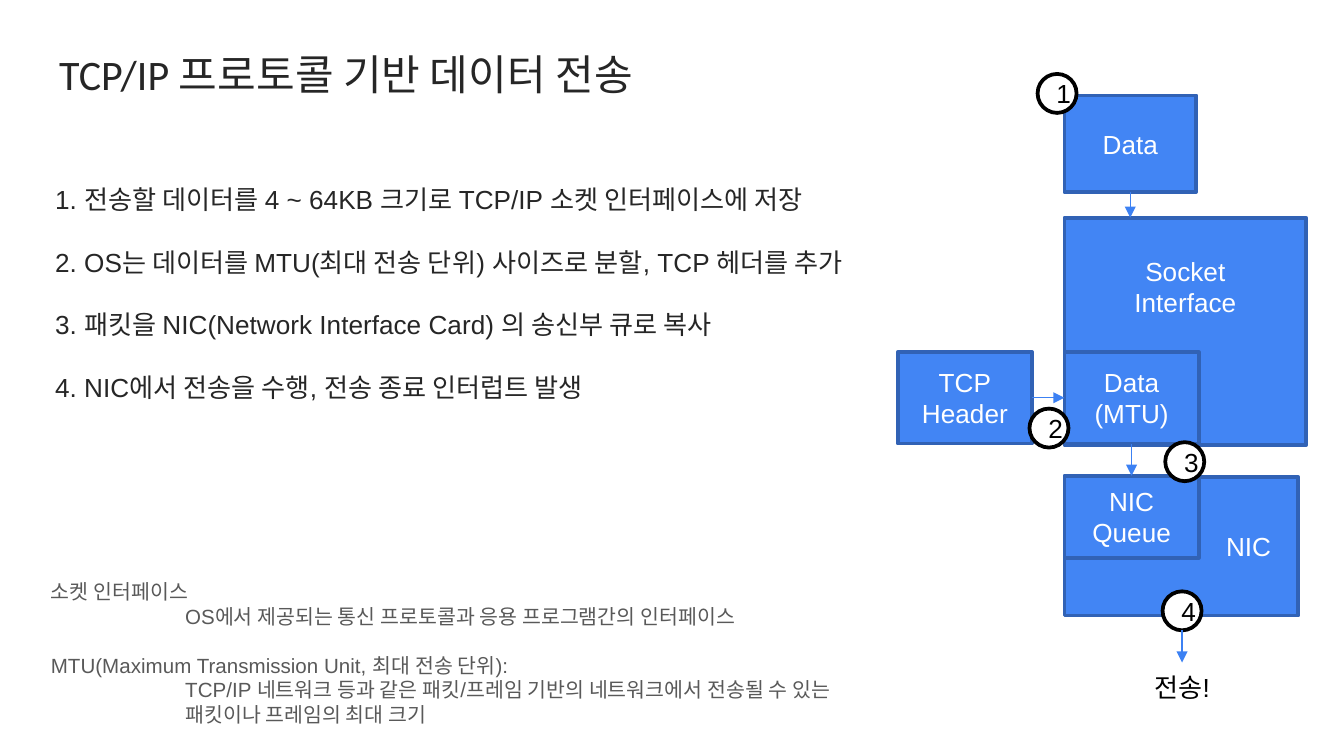
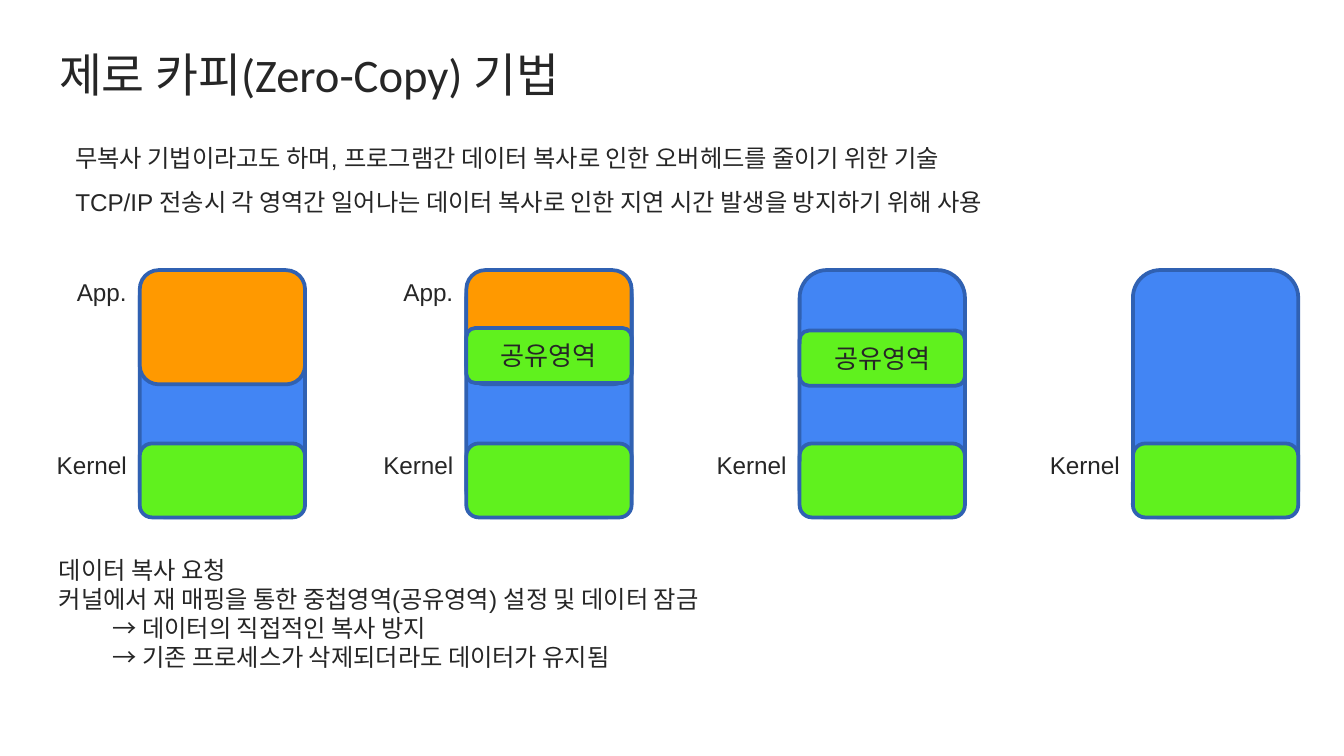
from typing import NamedTuple

from lxml import etree
from pptx import Presentation
from pptx.dml.color import RGBColor
from pptx.enum.shapes import MSO_CONNECTOR, MSO_SHAPE
from pptx.enum.text import MSO_ANCHOR, MSO_AUTO_SIZE, PP_ALIGN
from pptx.oxml.ns import qn
from pptx.util import Inches, Pt

RECT, ROUNDED = MSO_SHAPE.RECTANGLE, MSO_SHAPE.ROUNDED_RECTANGLE
CIRCLE, STRAIGHT = MSO_SHAPE.FLOWCHART_CONNECTOR, MSO_CONNECTOR.STRAIGHT
TOP, MIDDLE = MSO_ANCHOR.TOP, MSO_ANCHOR.MIDDLE
LEFT, CENTER, RIGHT = PP_ALIGN.LEFT, PP_ALIGN.CENTER, PP_ALIGN.RIGHT
FIXED, GROW = MSO_AUTO_SIZE.NONE, MSO_AUTO_SIZE.SHAPE_TO_FIT_TEXT

COLORS = {
    "ink": "262626", "note": "595959", "black": "000000", "white": "FFFFFF",
    "blue": "4285F4", "edge": "3162B5", "state_edge": "3061B2",
    "arrow": "3C81F3", "orange": "FF9900", "green": "60F11E",
}
COLUMNS, ROWS = 100, 56.25
CELL = Inches(10) / COLUMNS


class Box(NamedTuple):
    """A region of the slide grid, in columns and rows."""
    left: float
    top: float
    width: float
    height: float

    def inner(self, column, row, width, height):
        """Return a box placed relative to this one."""
        return Box(self.left + column, self.top + row, width, height)

    def point(self, across, down):
        """Return the grid point at the given shares of the box."""
        return self.left + across * self.width, self.top + down * self.height

    def lengths(self):
        """Return left, top, width and height in EMU."""
        return [grid(value) for value in self]


TITLE = Box(3.4, 2.4, 93.2, 6.3)


def grid(cells):
    """Turn grid cells into EMU."""
    return round(cells * CELL)


def rgb(color):
    """Look up a colour by its role."""
    return RGBColor.from_string(COLORS[color])


def write(frame, lines, size, color, align=LEFT, font="Arial", spacing=1.0):
    """Write one formatted paragraph for each line."""
    frame.word_wrap = True
    for index, line in enumerate(lines):
        paragraph = frame.paragraphs[0] if index == 0 else frame.add_paragraph()
        paragraph.text = line
        paragraph.alignment = align
        paragraph.line_spacing = spacing
        paragraph.space_before = paragraph.space_after = Pt(0)
        paragraph.font.name = font
        paragraph.font.size = Pt(size)
        paragraph.font.color.rgb = rgb(color)


def indent(paragraph, inches):
    """Indent a whole paragraph and clear its bullet."""
    properties = paragraph._p.get_or_add_pPr()
    properties.set("marL", str(Inches(inches)))
    properties.set("indent", "0")
    bullet = etree.Element(qn("a:buNone"))
    properties.find(qn("a:spcAft")).addnext(bullet)


def fill_placeholder(placeholder, box, lines, size, **style):
    """Move a template placeholder and write its text."""
    placeholder.left, placeholder.top, placeholder.width, placeholder.height = box.lengths()
    frame = placeholder.text_frame
    frame.auto_size, frame.vertical_anchor = FIXED, TOP
    frame.margin_left = frame.margin_right = Inches(0.1)
    frame.margin_top = frame.margin_bottom = Inches(0.1)
    write(frame, lines, size, "ink", **style)


def content_slide(deck, title, title_size, body, body_box, body_size, spacing):
    """Add a slide with its title and body list."""
    slide = deck.slides.add_slide(deck.slide_layouts[1])
    heading, points = slide.placeholders
    fill_placeholder(heading, TITLE, [title], title_size, font="Calibri")
    fill_placeholder(points, body_box, body, body_size, spacing=spacing)
    for paragraph in points.text_frame.paragraphs:
        indent(paragraph, 0.12)
    return slide


def block(shapes, box, lines=(), kind=RECT, fill="blue", edge="edge", ink="white"):
    """Add an outlined shape with centred text."""
    shape = shapes.add_shape(kind, *box.lengths())
    shape.shadow.inherit = False
    shape.fill.solid()
    shape.fill.fore_color.rgb = rgb(fill)
    shape.line.color.rgb = rgb(edge)
    shape.line.width = Pt(2)
    shape.text_frame.vertical_anchor = MIDDLE
    write(shape.text_frame, lines, 14, ink, CENTER)
    return shape


def label(shapes, box, lines, size, color, align=LEFT):
    """Add a text box and return its frame."""
    frame = shapes.add_textbox(*box.lengths()).text_frame
    write(frame, lines, size, color, align)
    frame.auto_size = GROW
    return frame


def arrow(shapes, start, end):
    """Draw a thin arrow between two grid points."""
    connector = shapes.add_connector(STRAIGHT, *map(grid, start + end))
    connector.line.color.rgb = rgb("arrow")
    connector.line.width = Pt(0.75)
    outline = connector._element.spPr.find(qn("a:ln"))
    etree.SubElement(outline, qn("a:tailEnd"), type="triangle")
    etree.SubElement(connector._element.spPr, qn("a:effectLst"))


def transfer_diagram(shapes, box):
    """Draw the path of data from the application to the network card."""
    data = box.inner(12.4, 1.6, 9.8, 7.2)
    socket = box.inner(12.4, 10.7, 18, 16.9)
    header = box.inner(0, 20.7, 10, 6.8)
    mtu = box.inner(12.4, 20.7, 10, 6.8)
    queue = box.inner(12.4, 29.9, 10, 6.1)
    card = box.inner(12.4, 30, 17.4, 10.3)

    block(shapes, card, ["NIC"]).text_frame.margin_left = Inches(1.1)
    interface = block(shapes, socket, ["Socket", "Interface"])
    interface.text_frame.margin_bottom = Inches(0.72)
    for place, lines in (
        (mtu, ["Data", "(MTU)"]),
        (header, ["TCP", "Header"]),
        (queue, ["NIC", "Queue"]),
        (data, ["Data"]),
    ):
        block(shapes, place, lines)

    steps = [box.inner(column, row, 2.9, 2.9) for column, row in
             ((10.4, 0), (9.8, 24.9), (19.9, 27.4), (19.7, 38.5))]
    for number, step in enumerate(steps, 1):
        block(shapes, step, [str(number)], CIRCLE, "white", "black", "black")

    exit_column, exit_row = steps[-1].point(0.5, 1)
    for start, end in (
        (data.point(0.5, 1), (data.point(0.5, 1)[0], socket.top)),
        (header.point(1, 0.5), mtu.point(0, 0.5)),
        (mtu.point(0.5, 1), queue.point(0.5, 0)),
        ((exit_column, exit_row), (exit_column, exit_row + 2.4)),
    ):
        arrow(shapes, start, end)
    label(shapes, box.inner(18.1, 44, 6.5, 3.4), ["전송!"], 14, "black")


def glossary(shapes, box):
    """Explain the terms, each definition indented below its term."""
    lines = [
        "소켓 인터페이스",
        "OS에서 제공되는 통신 프로토콜과 응용 프로그램간의 인터페이스",
        "MTU(Maximum Transmission Unit, 최대 전송 단위):",
        "TCP/IP 네트워크 등과 같은 패킷/프레임 기반의 네트워크에서 전송될 수 있는",
        "패킷이나 프레임의 최대 크기",
    ]
    paragraphs = label(shapes, box, lines, 11, "note").paragraphs
    paragraphs[2].space_before = Pt(13)
    for index in (1, 3, 4):
        indent(paragraphs[index], 1)


def memory_state(shapes, box, has_app, shared_row):
    """Draw one memory column with its areas and labels."""
    group = shapes.add_group_shape().shapes
    kernel_row = 12.9
    areas = [(0, box.height, "blue", []), (kernel_row, 5.5, "green", [])]
    names = [("Kernel", kernel_row)]
    if has_app:
        areas.insert(1, (0, 8.5, "orange", []))
        names.insert(0, ("App.", 0))
    if shared_row is not None:
        areas.append((shared_row, 4.1, "green", ["공유영역"]))
    for row, height, fill, lines in areas:
        block(group, box.inner(0, row, box.width, height), lines,
              ROUNDED, fill, "state_edge", "ink")
    for name, row in names:
        label(group, box.inner(-8.2, row, 8.2, 3.2), [name], 13, "ink", RIGHT)


def remapping_notes(shapes, box):
    """List the steps of remapping and their effects."""
    lines = [
        "데이터 복사 요청",
        "커널에서 재 매핑을 통한 중첩영역(공유영역) 설정 및 데이터 잠금",
        "→ 데이터의 직접적인 복사 방지",
        "→ 기존 프로세스가 삭제되더라도 데이터가 유지됨",
    ]
    for effect in label(shapes, box, lines, 13, "ink").paragraphs[2:]:
        indent(effect, 0.4)


def transfer_slide(deck):
    """Build the slide on sending data over TCP/IP."""
    slide = content_slide(deck, "TCP/IP 프로토콜 기반 데이터 전송", 22.5, [
        "1. 전송할 데이터를 4 ~ 64KB 크기로 TCP/IP 소켓 인터페이스에 저장",
        "2. OS는 데이터를 MTU(최대 전송 단위) 사이즈로 분할, TCP 헤더를 추가",
        "3. 패킷을 NIC(Network Interface Card) 의 송신부 큐로 복사",
        "4. NIC에서 전송을 수행, 전송 종료 인터럽트 발생",
    ], Box(1.9, 10.3, 93.2, 30.3), 14, 2.0)
    heading = slide.shapes.title.text_frame.paragraphs[0]
    heading.line_spacing, heading.space_after = 1.05, Pt(12)
    glossary(slide.shapes, Box(2.8, 42.6, 93.8, 12.1))
    transfer_diagram(slide.shapes, Box(66.8, 5.5, 30.4, 47.4))


def zero_copy_slide(deck):
    """Build the slide on the zero-copy technique."""
    slide = content_slide(deck, "제로 카피(Zero-Copy) 기법", 25, [
        "무복사 기법이라고도 하며, 프로그램간 데이터 복사로 인한 오버헤드를 줄이기 위한 기술",
        "TCP/IP 전송시 각 영역간 일어나는 데이터 복사로 인한 지연 시간 발생을 방지하기 위해 사용",
    ], Box(3.4, 8.6, 93.2, 9), 13, 1.5)
    for column, has_app, shared_row in (
        (10.4, True, None), (34.7, True, 4.3), (59.5, False, 4.5), (84.3, False, None),
    ):
        memory_state(slide.shapes, Box(column, 20.1, 12.3, 18.4), has_app, shared_row)
    remapping_notes(slide.shapes, Box(3.4, 40.8, 81.4, 9.8))


def main():
    """Build and save the deck."""
    deck = Presentation()
    deck.slide_width, deck.slide_height = grid(COLUMNS), grid(ROWS)
    transfer_slide(deck)
    zero_copy_slide(deck)
    deck.save("out.pptx")


if __name__ == "__main__":
    main()
